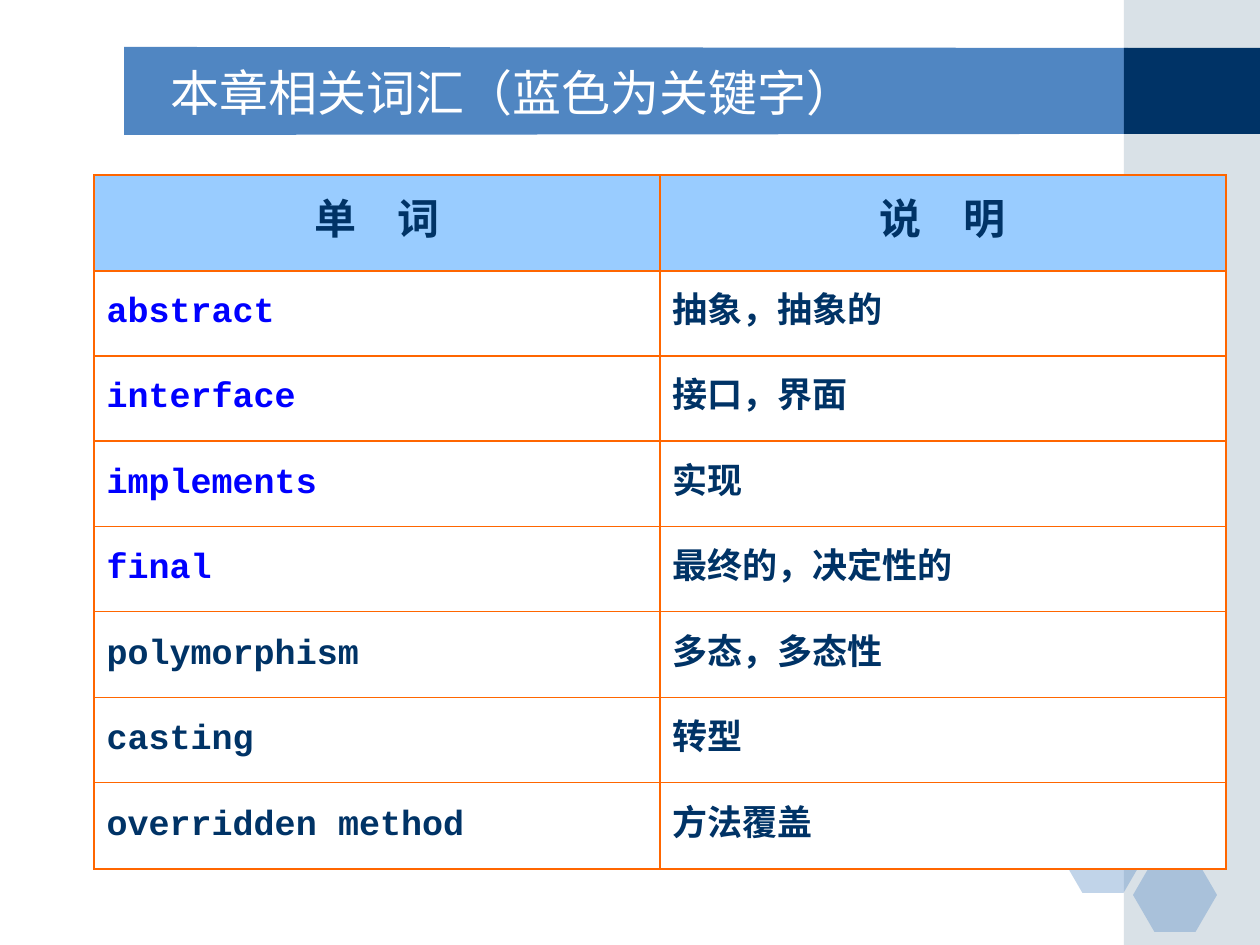
import pptx
import pptx.util
import pptx.dml.color
import pptx.enum.shapes
import pptx.enum.text
import pptx.oxml.ns
import pptx.oxml.xmlchemy

RGB = pptx.dml.color.RGBColor
SHAPE = pptx.enum.shapes.MSO_SHAPE
ALIGN = pptx.enum.text.PP_ALIGN
MIDDLE = pptx.enum.text.MSO_ANCHOR.MIDDLE

WHITE = RGB(0xFF, 0xFF, 0xFF)
BLUE = RGB(0x50, 0x86, 0xC2)
NAVY = RGB(0x00, 0x33, 0x66)
MIST = RGB(0xA0, 0xB5, 0xC4)
SKY = RGB(0x99, 0xCC, 0xFF)
ORANGE = RGB(0xFF, 0x66, 0x00)
KEYWORD = RGB(0x00, 0x00, 0xFF)

HEADINGS = ("单　词", "说　明")
WORDS = [
    ("abstract", "抽象，抽象的"),
    ("interface", "接口，界面"),
    ("implements", "实现"),
    ("final", "最终的，决定性的"),
    ("polymorphism", "多态，多态性"),
    ("casting", "转型"),
    ("overridden method", "方法覆盖"),
]
KEYWORDS = {"abstract", "interface", "implements", "final"}


def px(length):
    return pptx.util.Emu(round(length * 914400 / 126))


def child(parent, tag, **attributes):
    element = pptx.oxml.xmlchemy.OxmlElement(tag)
    for name, value in attributes.items():
        element.set(name, str(value))
    parent.append(element)
    return element


class Deck:
    title_font = "DejaVu Sans"
    table_font = "Courier New"
    outer_line, inner_line = 1.08, 0.75

    def __init__(self, width, height):
        self.prs = pptx.Presentation()
        self.prs.slide_width, self.prs.slide_height = px(width), px(height)
        self.slide = self.prs.slides.add_slide(self.prs.slide_layouts[6])

    def paint(self, shape, color, opacity=100):
        shape.shadow.inherit = False
        shape.fill.solid()
        shape.fill.fore_color.rgb = color
        shape.line.fill.background()
        if opacity < 100:
            srgb = shape._element.spPr.find(".//" + pptx.oxml.ns.qn("a:srgbClr"))
            child(srgb, "a:alpha", val=opacity * 1000)

    def shape(self, kind, x, y, w, h, color, opacity=100):
        shape = self.slide.shapes.add_shape(kind, px(x), px(y), px(w), px(h))
        self.paint(shape, color, opacity)
        return shape

    def outline(self, points, color):
        builder = self.slide.shapes.build_freeform(*points[0], scale=914400 / 126)
        builder.add_line_segments(points[1:], close=True)
        self.paint(builder.convert_to_shape(), color)

    def run(self, paragraph, text, font, size, color, bold=False):
        run = paragraph.add_run()
        run.text = text
        run.font.name, run.font.size, run.font.bold = font, pptx.util.Pt(size), bold
        run.font.color.rgb = color
        child(run._r.get_or_add_rPr(), "a:ea", typeface=font)

    def text(self, x, y, w, h, text, size, color):
        frame = self.slide.shapes.add_textbox(px(x), px(y), px(w), px(h)).text_frame
        frame.word_wrap = True
        frame.vertical_anchor = MIDDLE
        self.run(frame.paragraphs[0], text, self.title_font, size, color)

    def cell(self, cell, text, size, color, fill, before, align, widths):
        cell.vertical_anchor = MIDDLE
        paragraph = cell.text_frame.paragraphs[0]
        paragraph.alignment = align
        paragraph.space_before = pptx.util.Pt(before)
        self.run(paragraph, text, self.table_font, size, color, bold=True)
        # Borders come before the fill in the cell properties
        properties = cell._tc.get_or_add_tcPr()
        for side, width in zip("LRTB", widths):
            line = child(properties, "a:ln" + side, w=int(pptx.util.Pt(width)))
            child(child(line, "a:solidFill"), "a:srgbClr", val=ORANGE)
        cell.fill.solid()
        cell.fill.fore_color.rgb = fill

    def table(self, x, y, w, h, header_height, headings, rows):
        count = len(rows)
        table = self.slide.shapes.add_table(
            count + 1, 2, px(x), px(y), px(w), px(h)).table
        table.first_row = table.horz_banding = False
        for column in table.columns:
            column.width = px(w // 2)
        body = h - header_height
        edges = [0] + [header_height + body * i // count for i in range(count + 1)]
        for r, cells in enumerate([headings] + rows):
            table.rows[r].height = px(edges[r + 1] - edges[r])
            for c, text in enumerate(cells):
                on_edge = (c == 0, c == 1, r == 0, r == count)
                widths = [self.outer_line if edge else self.inner_line
                          for edge in on_edge]
                if r == 0:
                    style = (24, NAVY, SKY, 6, ALIGN.CENTER)
                else:
                    color = KEYWORD if text in KEYWORDS else NAVY
                    style = (20, color, WHITE, 5, ALIGN.LEFT)
                self.cell(table.cell(r, c), text, *style, widths)


def main():
    deck = Deck(1260, 945)

    # Title band and side stripe
    deck.outline([(124, 47), (1128, 48), (1128, 134), (124, 135)], BLUE)
    deck.shape(SHAPE.RECTANGLE, 1124, 0, 136, 945, MIST, 40)
    deck.shape(SHAPE.RECTANGLE, 1124, 48, 136, 86, NAVY)

    # Honeycomb in the corner
    for x, y in ((1061, 819), (1134, 777), (1133, 858)):
        hexagon = deck.shape(SHAPE.HEXAGON, x, y, 84, 74, BLUE, 35)
        hexagon.adjustments[0] = 0.29

    # Title
    deck.text(158, 53, 924, 78, "本章相关词汇（蓝色为关键字）", 28, WHITE)

    # Vocabulary table
    deck.table(94, 175, 1132, 694, 96, HEADINGS, WORDS)

    deck.prs.save("out.pptx")


if __name__ == "__main__":
    main()
